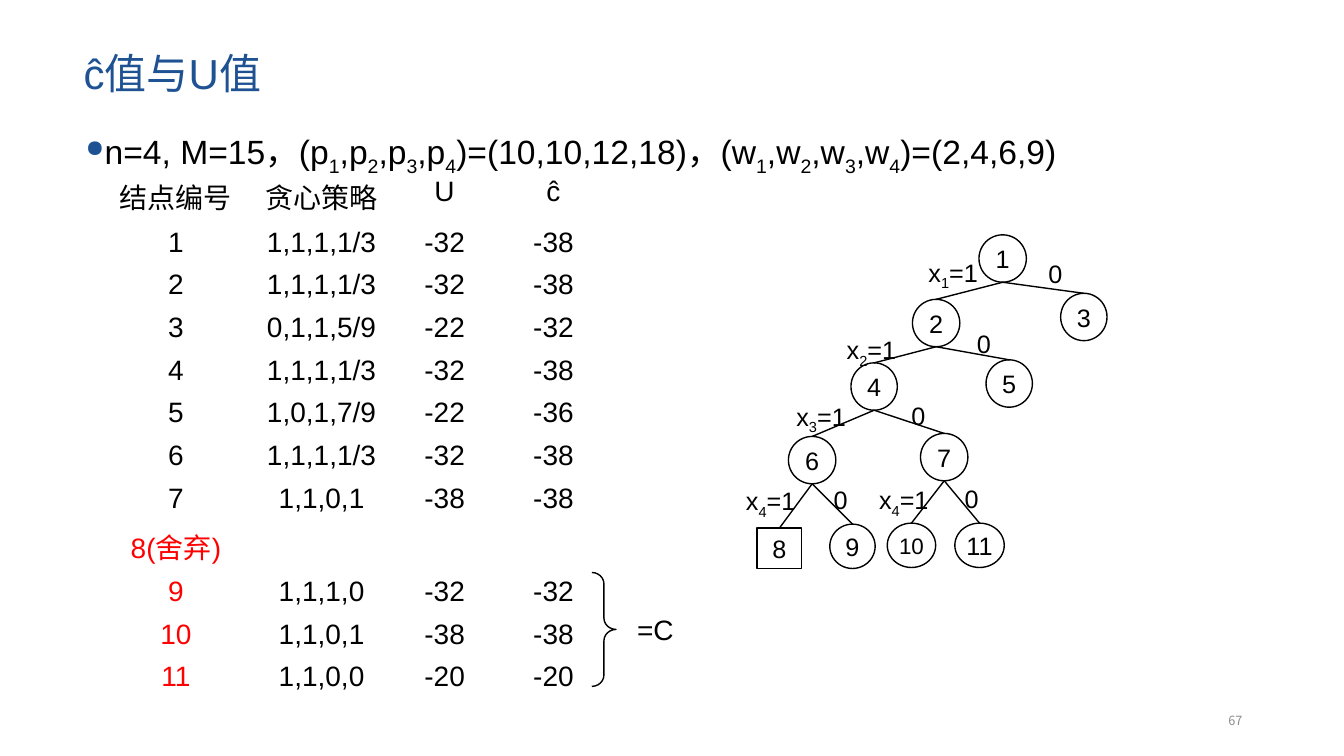
"""Build the slide on ĉ and U values with its table and search tree."""

from dataclasses import dataclass

from lxml import etree
from pptx import Presentation
from pptx.dml.color import RGBColor
from pptx.enum.shapes import MSO_CONNECTOR, MSO_SHAPE
from pptx.enum.text import MSO_ANCHOR, PP_ALIGN
from pptx.oxml.ns import qn
from pptx.util import Pt

PX = 9144
COLORS = {"title": "1E5293", "ink": "000000", "leaf": "FF0000", "number": "8C8C8C"}
LATIN, CJK = "Arial", "Noto Sans CJK SC"
LEFT, CENTER, RIGHT = PP_ALIGN.LEFT, PP_ALIGN.CENTER, PP_ALIGN.RIGHT
TOP, MIDDLE = MSO_ANCHOR.TOP, MSO_ANCHOR.MIDDLE
OVAL, SQUARE, BRACE = MSO_SHAPE.OVAL, MSO_SHAPE.RECTANGLE, MSO_SHAPE.RIGHT_BRACE
STRAIGHT = MSO_CONNECTOR.STRAIGHT


@dataclass(frozen=True)
class Node:
    number: int
    left: int
    top: int
    width: int = 47
    height: int = 47
    parent: int = 0
    size: int = 18
    outline: int = OVAL


@dataclass(frozen=True)
class Label:
    text: str
    left: int
    top: int
    width: int = 83
    height: int = 38


NODES = [
    Node(1, 971, 233),
    Node(2, 905, 297, parent=1),
    Node(3, 1052, 291, width=46, parent=1),
    Node(4, 844, 360, width=46, parent=2),
    Node(5, 978, 357, width=46, parent=2),
    Node(6, 782, 433, parent=4),
    Node(7, 913, 430, parent=4),
    Node(8, 751, 524, 44, 40, parent=6, outline=SQUARE),
    Node(9, 823, 520, 45, 44, parent=6),
    Node(10, 880, 519, 48, 44, parent=7, size=16),
    Node(11, 947, 519, 49, 44, parent=7),
]
LABELS = [
    Label("x_1=1", 911, 250),
    Label("0", 1030, 251),
    Label("x_2=1", 830, 327),
    Label("0", 959, 321, 42),
    Label("x_3=1", 780, 393, 85),
    Label("0", 894, 392),
    Label("x_4=1", 730, 477, 78, 41),
    Label("0", 817, 476, 37),
    Label("x_4=1", 862, 476),
    Label("0", 947, 475, 37),
]
COLUMNS = [139, 150, 94, 122]
ROWS = [
    ("结点编号", "贪心策略", "U", "ĉ"),
    ("1", "1,1,1,1/3", "-32", "-38"),
    ("2", "1,1,1,1/3", "-32", "-38"),
    ("3", "0,1,1,5/9", "-22", "-32"),
    ("4", "1,1,1,1/3", "-32", "-38"),
    ("5", "1,0,1,7/9", "-22", "-36"),
    ("6", "1,1,1,1/3", "-32", "-38"),
    ("7", "1,1,0,1", "-38", "-38"),
    ("8(舍弃)", "", "", ""),
    ("9", "1,1,1,0", "-32", "-32"),
    ("10", "1,1,0,1", "-38", "-38"),
    ("11", "1,1,0,0", "-20", "-20"),
]
FIRST_LEAF_ROW = 8
CJK_ROWS = (0, FIRST_LEAF_ROW)
PROBLEM = "n=4, M=15，(p_1,p_2,p_3,p_4)=(10,10,12,18)，(w_1,w_2,w_3,w_4)=(2,4,6,9)"


def add_span(para, text: str, size: int, color: str, font: str, subscript: bool) -> None:
    """Add one formatted run."""
    span = para.add_run()
    span.text = text
    span.font.size = Pt(size)
    span.font.name = font
    span.font.color.rgb = RGBColor.from_string(COLORS[color])
    properties = span.font._element
    etree.SubElement(properties, qn("a:ea")).set("typeface", CJK)
    if subscript:
        properties.set("baseline", "-25000")


def write(frame, text: str, size: int, color: str = "ink", align=LEFT, font: str = LATIN):
    """Write text run by run; the character after each underscore is a subscript."""
    para = frame.paragraphs[0]
    para.alignment = align
    head, *tails = text.split("_")
    pieces = [(head, False)]
    for tail in tails:
        pieces += [(tail[0], True), (tail[1:], False)]
    for piece, subscript in pieces:
        if piece:
            add_span(para, piece, size, color, font, subscript)
    return para


def add_text(shapes, label: Label, size: int, color: str = "ink", align=LEFT,
             font: str = LATIN, anchor=TOP):
    """Add a wrapping text box and return its paragraph."""
    box = shapes.add_textbox(label.left * PX, label.top * PX, label.width * PX, label.height * PX)
    box.text_frame.word_wrap = True
    box.text_frame.vertical_anchor = anchor
    return write(box.text_frame, label.text, size, color, align, font)


def add_outline(shapes, kind: int, left: int, top: int, width: int, height: int):
    """Add an unfilled shape with a thin black line."""
    shape = shapes.add_shape(kind, left * PX, top * PX, width * PX, height * PX)
    shape.shadow.inherit = False
    shape.fill.background()
    shape.line.color.rgb = RGBColor.from_string(COLORS["ink"])
    shape.line.width = Pt(1)
    return shape


def add_node(shapes, node: Node) -> None:
    """Draw one numbered tree node."""
    shape = add_outline(shapes, node.outline, node.left, node.top, node.width, node.height)
    frame = shape.text_frame
    frame.margin_left = frame.margin_right = frame.margin_top = frame.margin_bottom = 4 * PX
    frame.word_wrap = False
    frame.vertical_anchor = MIDDLE
    write(frame, str(node.number), node.size, align=CENTER)


def add_edge(shapes, parent: Node, child: Node) -> None:
    """Join the foot of a parent to the top of its child."""
    edge = shapes.add_connector(
        STRAIGHT,
        (2 * parent.left + parent.width) * PX // 2, (parent.top + parent.height) * PX,
        (2 * child.left + child.width) * PX // 2, child.top * PX,
    )
    edge.line.color.rgb = RGBColor.from_string(COLORS["ink"])
    edge.line.width = Pt(1)
    etree.SubElement(edge._element.spPr, qn("a:effectLst"))


def add_tree(shapes) -> None:
    """Draw the search tree as one group."""
    tree = shapes.add_group_shape().shapes
    by_number = {node.number: node for node in NODES}
    for node in NODES:
        add_node(tree, node)
        if node.parent:
            add_edge(tree, by_number[node.parent], node)
    for label in LABELS:
        add_text(tree, label, 18)


def add_values(shapes) -> None:
    """Add the plain table of strategies and bounds."""
    heights = [50 if row in CJK_ROWS else 41 for row in range(len(ROWS))]
    table = shapes.add_table(len(ROWS), len(COLUMNS), 105 * PX, 170 * PX,
                             sum(COLUMNS) * PX, sum(heights) * PX).table
    table.first_row = table.horz_banding = False
    for column, width in zip(table.columns, COLUMNS):
        column.width = width * PX
    for row, (height, texts) in enumerate(zip(heights, ROWS)):
        table.rows[row].height = height * PX
        for column, text in enumerate(texts):
            cell = table.cell(row, column)
            cell.fill.background()
            cell.margin_top, cell.margin_bottom = 5 * PX, 4 * PX
            color = "leaf" if column == 0 and row >= FIRST_LEAF_ROW else "ink"
            write(cell.text_frame, text, 20, color, CENTER)


def add_problem(shapes) -> None:
    """Add the bulleted problem statement."""
    para = add_text(shapes, Label(PROBLEM, 75, 126, 1150, 56), 24)
    para.line_spacing = 0.9
    para.space_before = Pt(7.5)
    properties = para._p.get_or_add_pPr()
    properties.set("marL", str(19 * PX))
    properties.set("indent", str(-19 * PX))
    bullet_color = etree.SubElement(properties, qn("a:buClr"))
    etree.SubElement(bullet_color, qn("a:srgbClr")).set("val", COLORS["title"])
    etree.SubElement(properties, qn("a:buSzPct")).set("val", "70000")
    etree.SubElement(properties, qn("a:buChar")).set("char", "●")


def main() -> None:
    """Build and save the deck."""
    deck = Presentation()
    deck.slide_width, deck.slide_height = 1333 * PX, 750 * PX
    page = deck.slides.add_slide(deck.slide_layouts[5])
    title = page.shapes.title
    title.left, title.top, title.width, title.height = 73 * PX, 7 * PX, 1150 * PX, 136 * PX
    title.text_frame.vertical_anchor = MIDDLE
    write(title.text_frame, "ĉ值与U值", 30, "title").line_spacing = 0.9
    add_text(page.shapes, Label("67", 942, 695, 300, 40), 9, "number", RIGHT, CJK, MIDDLE)
    add_values(page.shapes)
    add_problem(page.shapes)
    add_tree(page.shapes)
    add_outline(page.shapes, BRACE, 587, 568, 24, 113).adjustments[0] = 0.47
    add_text(page.shapes, Label("=C", 622, 603, 57, 44), 20)
    deck.save("out.pptx")


if __name__ == "__main__":
    main()
